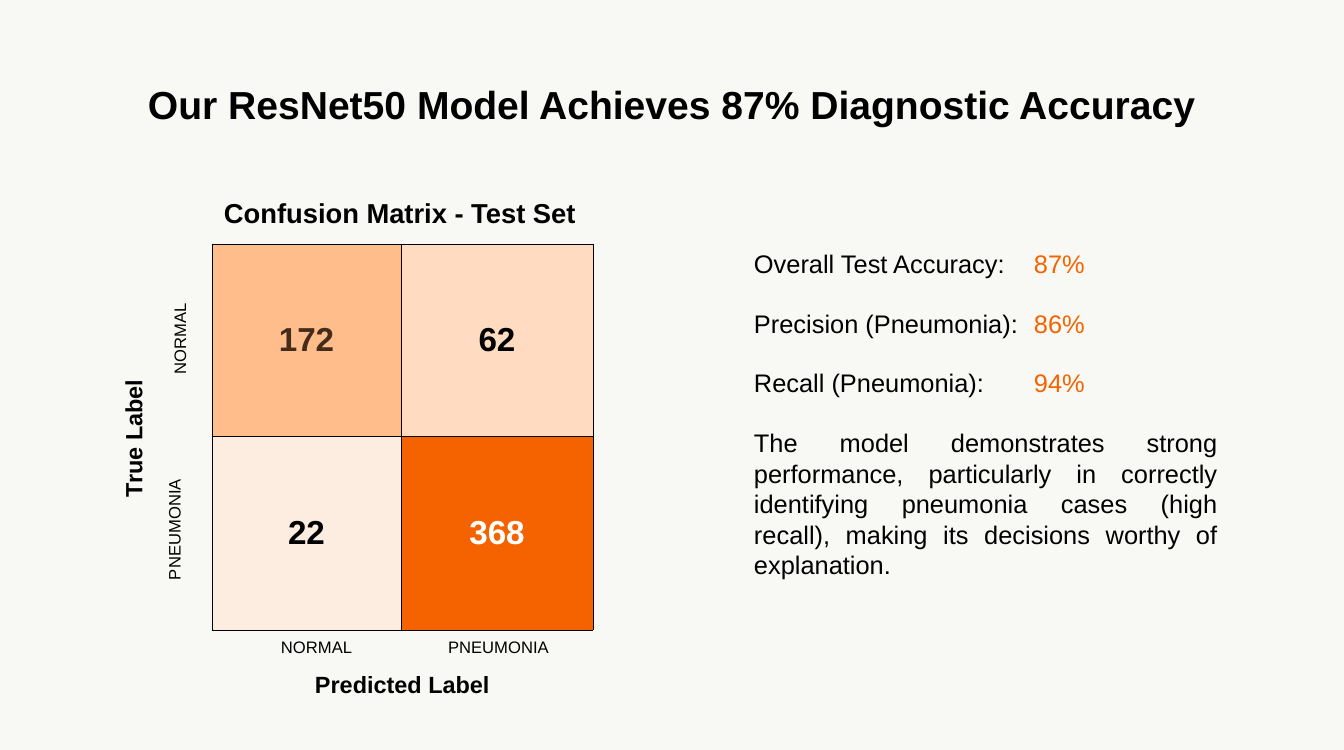
import pptx
import pptx.dml.color
import pptx.enum.text
import pptx.oxml.ns
import pptx.util
from lxml import etree

EMU_PER_PX = 13000
FONT = "Arial"
BLACK = "000000"
WHITE = "FFFFFF"
ORANGE = "F56301"
BACKGROUND = "F8F9F4"
ALIGN = pptx.enum.text.PP_ALIGN

MATRIX = [
    [("172", "432C1A", "FFBD8B"), ("62", BLACK, "FEDBC1")],
    [("22", BLACK, "FDEDE0"), ("368", WHITE, ORANGE)],
]
COLUMN_WIDTHS = [189, 192]
ROW_HEIGHTS = [192, 194]

LABELS = [
    ("Our ResNet50 Model Achieves 87% Diagnostic Accuracy", (148, 80, 1049, 43), 40, True, 0),
    ("Confusion Matrix - Test Set", (224, 196, 358, 33), 28, True, 0),
    ("NORMAL", (143, 329, 72, 19), 17, False, 270),
    ("PNEUMONIA", (123, 520, 101, 19), 17, False, 270),
    ("NORMAL", (281, 637, 72, 19), 17, False, 0),
    ("PNEUMONIA", (448, 637, 101, 19), 17, False, 0),
    ("Predicted Label", (315, 670, 177, 28), 24, True, 0),
    ("True Label", (73, 423, 120, 28), 24, True, 270),
]

METRICS = [
    ("Overall Test Accuracy:", "87%"),
    ("Precision (Pneumonia):", "86%"),
    ("Recall (Pneumonia):", "94%"),
]
CONCLUSION = (
    "The model demonstrates strong performance, particularly in correctly "
    "identifying pneumonia cases (high recall), making its decisions worthy "
    "of explanation."
)


def px(length):
    """Turn a length in px into EMU."""
    return pptx.util.Emu(length * EMU_PER_PX)


def rgb(value):
    """Turn a hex string into a colour."""
    return pptx.dml.color.RGBColor.from_string(value)


def add_text(paragraph, text, *, size, color=BLACK, bold=False):
    """Append one formatted run to a paragraph."""
    run = paragraph.add_run()
    run.text = text
    run.font.name = FONT
    run.font.size = pptx.util.Pt(size)
    run.font.bold = bold
    run.font.color.rgb = rgb(color)


def add_box(slide, bounds, *, inset=0, wrap=False):
    """Add an empty text box and return its shape."""
    shape = slide.shapes.add_textbox(*map(px, bounds))
    frame = shape.text_frame
    frame.word_wrap = wrap
    frame.margin_left = frame.margin_right = px(inset)
    frame.margin_top = frame.margin_bottom = px(inset)
    return shape


def add_label(slide, text, bounds, size, bold, rotation):
    """Add a one-line label, turned by the given angle."""
    shape = add_box(slide, bounds)
    shape.rotation = rotation
    add_text(shape.text_frame.paragraphs[0], text, size=size, bold=bold)


def add_tab_stop(paragraph, position):
    """Give a paragraph one left tab stop."""
    properties = paragraph._p.get_or_add_pPr()
    tabs = etree.SubElement(properties, pptx.oxml.ns.qn("a:tabLst"))
    etree.SubElement(tabs, pptx.oxml.ns.qn("a:tab"), pos=str(px(position)), algn="l")


def add_findings(slide):
    """Add the test metrics and the conclusion below them."""
    frame = add_box(slide, (750, 244, 472, 376), inset=4, wrap=True).text_frame
    paragraph = frame.paragraphs[0]
    for name, value in METRICS:
        add_tab_stop(paragraph, 280)
        add_text(paragraph, name + "\t", size=26)
        add_text(paragraph, value, size=26, color=ORANGE)
        paragraph = frame.add_paragraph()
        paragraph.space_before = pptx.util.Pt(30)
    paragraph.alignment = ALIGN.JUSTIFY
    add_text(paragraph, CONCLUSION, size=26)


def add_borders(cell):
    """Draw a thin black line on all four sides of a cell."""
    properties = cell._tc.get_or_add_tcPr()
    for side in ("a:lnL", "a:lnR", "a:lnT", "a:lnB"):
        line = etree.SubElement(
            properties, pptx.oxml.ns.qn(side), w=str(pptx.util.Pt(1))
        )
        fill = etree.SubElement(line, pptx.oxml.ns.qn("a:solidFill"))
        etree.SubElement(fill, pptx.oxml.ns.qn("a:srgbClr"), val=BLACK)


def fill_cell(cell, count, text_color, fill_color):
    """Write one count into a coloured matrix cell."""
    add_borders(cell)
    cell.fill.solid()
    cell.fill.fore_color.rgb = rgb(fill_color)
    cell.margin_left = cell.margin_right = 0
    cell.margin_top = cell.margin_bottom = 0
    cell.vertical_anchor = pptx.enum.text.MSO_ANCHOR.MIDDLE
    paragraph = cell.text_frame.paragraphs[0]
    paragraph.alignment = ALIGN.CENTER
    add_text(paragraph, count, size=34, color=text_color, bold=True)


def add_matrix(slide):
    """Add the confusion matrix as a table."""
    bounds = (212, 244, sum(COLUMN_WIDTHS), sum(ROW_HEIGHTS))
    table = slide.shapes.add_table(
        len(ROW_HEIGHTS), len(COLUMN_WIDTHS), *map(px, bounds)
    ).table
    table.first_row = table.horz_banding = False
    for column, width in zip(table.columns, COLUMN_WIDTHS):
        column.width = px(width)
    for row, height, entries in zip(table.rows, ROW_HEIGHTS, MATRIX):
        row.height = px(height)
        for cell, entry in zip(row.cells, entries):
            fill_cell(cell, *entry)


def main():
    """Build and save the slide."""
    presentation = pptx.Presentation()
    presentation.slide_width = px(1344)
    presentation.slide_height = px(750)
    slide = presentation.slides.add_slide(presentation.slide_layouts[6])
    slide.background.fill.solid()
    slide.background.fill.fore_color.rgb = rgb(BACKGROUND)
    for label in LABELS:
        add_label(slide, *label)
    add_matrix(slide)
    add_findings(slide)
    presentation.save("out.pptx")


if __name__ == "__main__":
    main()
